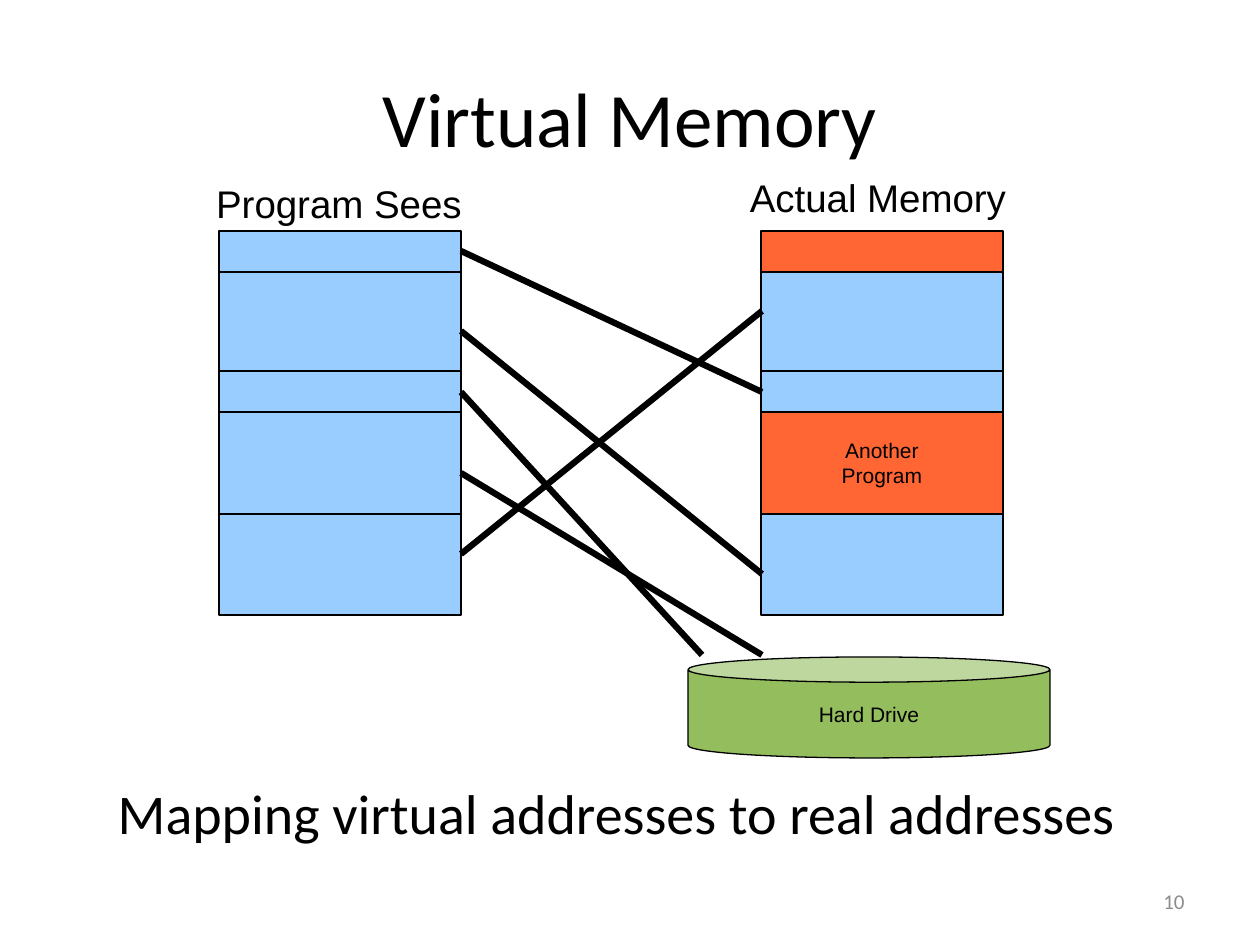
from itertools import accumulate

from lxml import etree
from pptx import Presentation
from pptx.dml.color import RGBColor
from pptx.enum.shapes import MSO_CONNECTOR, MSO_SHAPE
from pptx.enum.text import MSO_ANCHOR, MSO_AUTO_SIZE, PP_ALIGN
from pptx.oxml.ns import qn
from pptx.util import Emu, Pt

RECT, CAN = MSO_SHAPE.RECTANGLE, MSO_SHAPE.CAN
STRAIGHT = MSO_CONNECTOR.STRAIGHT
TOP, MIDDLE = MSO_ANCHOR.TOP, MSO_ANCHOR.MIDDLE
LEFT, CENTER, RIGHT = PP_ALIGN.LEFT, PP_ALIGN.CENTER, PP_ALIGN.RIGHT

PX_PER_INCH = 126
BLACK, GRAY = "000000", "8C8C8C"
BLUE, ORANGE, GREEN = "99CCFF", "FF6633", "94BD5E"


def px(length):
    return Emu(round(length * 914400 / PX_PER_INCH))


def color(hex_string):
    return RGBColor.from_string(hex_string)


class SlideBuilder:
    heading_font, diagram_font = "Calibri", "Arial"

    def __init__(self, slide):
        self.slide = slide

    def add_text(self, frame, lines, size, font, align, anchor, ink=BLACK, wrap=True):
        frame.word_wrap = wrap
        frame.auto_size = MSO_AUTO_SIZE.NONE
        frame.vertical_anchor = anchor
        for i, line in enumerate(lines):
            paragraph = frame.add_paragraph() if i else frame.paragraphs[0]
            paragraph.alignment = align
            run = paragraph.add_run()
            run.text = line
            run.font.size, run.font.name = Pt(size), font
            run.font.color.rgb = color(ink)

    def placeholder(self, index, box, text, size, align, anchor):
        holder = self.slide.placeholders[index]
        holder.left, holder.top, holder.width, holder.height = map(px, box)
        self.add_text(holder.text_frame, [text], size, self.heading_font, align, anchor)
        return holder

    def plain_body(self, box, text, size):
        body = self.placeholder(1, box, text, size, LEFT, TOP)
        properties = body.text_frame.paragraphs[0]._p.get_or_add_pPr()
        etree.SubElement(properties, qn("a:buNone"))

    def label(self, box, text, size, font, align=CENTER, anchor=TOP,
              ink=BLACK, wrap=False):
        frame = self.slide.shapes.add_textbox(*map(px, box)).text_frame
        self.add_text(frame, [text], size, font, align, anchor, ink, wrap)

    def block(self, kind, box, fill, lines=()):
        shape = self.slide.shapes.add_shape(kind, *map(px, box))
        shape.shadow.inherit = False
        shape.fill.solid()
        shape.fill.fore_color.rgb = color(fill)
        shape.line.color.rgb = color(BLACK)
        shape.line.width = Pt(0.75)
        if lines:
            self.add_text(shape.text_frame, lines, 12, self.diagram_font,
                          CENTER, MIDDLE, wrap=False)
        return shape

    def mapping(self, start, end):
        line = self.slide.shapes.add_connector(STRAIGHT, *map(px, start + end))
        line.line.color.rgb = color(BLACK)
        line.line.width = Pt(3.6)
        etree.SubElement(line._element.spPr, qn("a:effectLst"))


def main():
    deck = Presentation()
    deck.slide_width, deck.slide_height = px(1260), px(945)
    page = SlideBuilder(deck.slides.add_slide(deck.slide_layouts[1]))

    # Title, caption and page number
    page.placeholder(0, (63, 38, 1134, 157), "Virtual Memory", 44, CENTER, MIDDLE)
    page.plain_body((105, 772, 1092, 78),
                    "Mapping virtual addresses to real addresses", 32)
    page.label((903, 876, 294, 50), "10", 12, page.heading_font,
               RIGHT, MIDDLE, GRAY, wrap=True)

    # Two memory columns sharing the same segment heights
    segment_heights = [41, 99, 41, 102, 101]
    segment_tops = list(accumulate(segment_heights[:-1], initial=231))
    program_x, memory_x, column_width = 219, 761, 242
    other_program = {3: ["Another", "Program"]}
    program_fills = [BLUE] * 5
    memory_fills = [ORANGE, BLUE, BLUE, ORANGE, BLUE]
    for x, fills, texts in ((program_x, program_fills, {}),
                            (memory_x, memory_fills, other_program)):
        for i, (top, height) in enumerate(zip(segment_tops, segment_heights)):
            page.block(RECT, (x, top, column_width, height), fills[i],
                       texts.get(i, ()))

    # Hard drive
    drive = page.block(CAN, (688, 657, 362, 101), GREEN, ["Hard Drive"])
    drive.adjustments[0] = 0.25

    # Mappings from program segments to memory or drive
    program_edge, memory_edge, drive_top = 461, 762, 655
    for start_y, end in ((554, (memory_edge, 311)),
                         (251, (memory_edge, 392)),
                         (331, (memory_edge, 574)),
                         (392, (702, drive_top)),
                         (473, (memory_edge, drive_top))):
        page.mapping((program_edge, start_y), end)

    # Column headings
    page.label((199, 174, 280, 63), "Program Sees", 22, page.diagram_font)
    page.label((738, 168, 280, 73), "Actual Memory", 22, page.diagram_font)

    deck.save("out.pptx")


if __name__ == "__main__":
    main()
